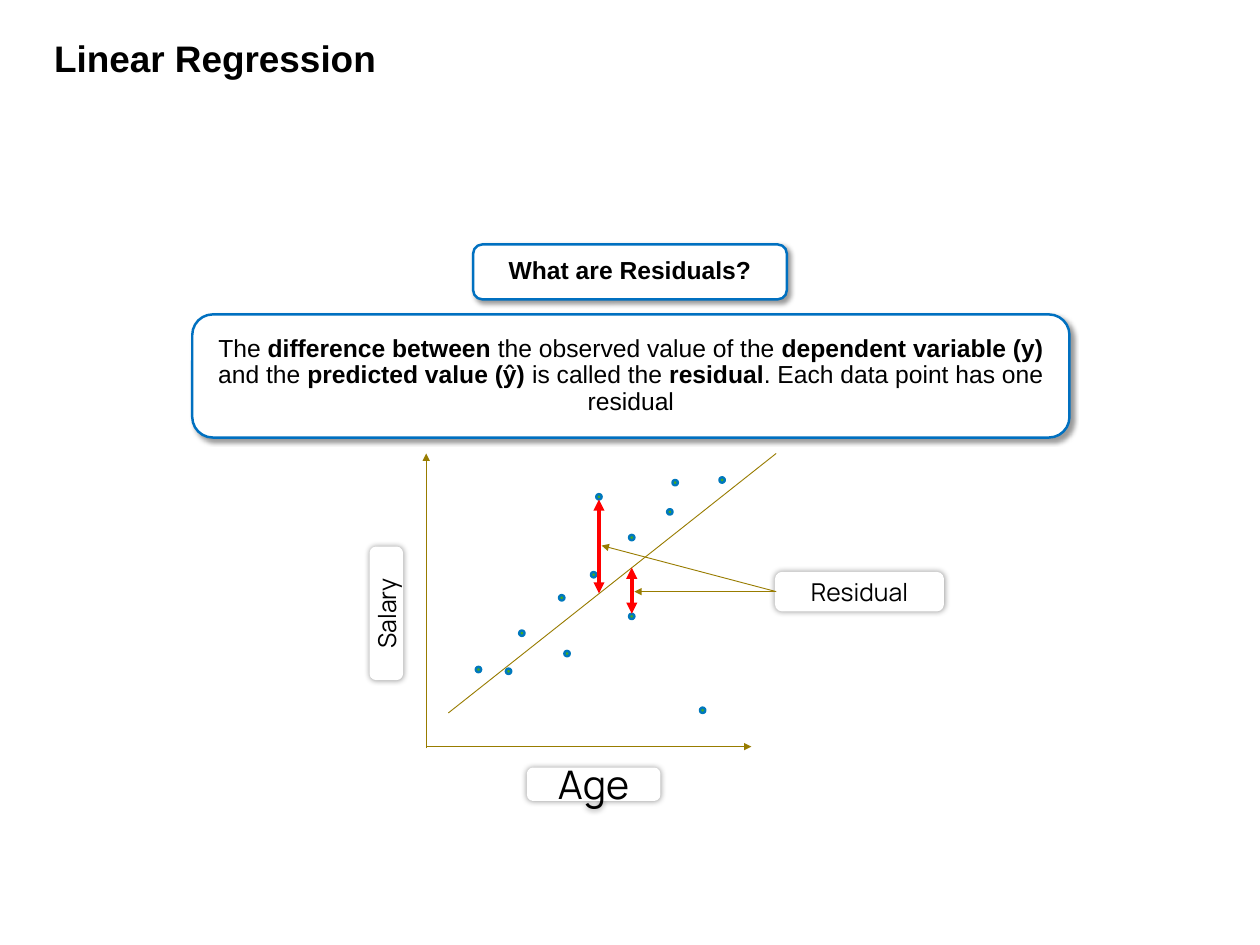
from lxml import etree
from pptx import Presentation
from pptx.dml.color import RGBColor
from pptx.enum.shapes import MSO_CONNECTOR, MSO_SHAPE
from pptx.enum.text import MSO_ANCHOR, MSO_AUTO_SIZE, PP_ALIGN
from pptx.oxml.ns import qn
from pptx.util import Inches, Pt

STRAIGHT = MSO_CONNECTOR.STRAIGHT
ROUNDED = MSO_SHAPE.ROUNDED_RECTANGLE
OVAL = MSO_SHAPE.OVAL
LEFT, CENTER = PP_ALIGN.LEFT, PP_ALIGN.CENTER
TOP, MIDDLE = MSO_ANCHOR.TOP, MSO_ANCHOR.MIDDLE
NO_AUTOFIT = MSO_AUTO_SIZE.NONE

BLACK, WHITE, RED = "000000", "FFFFFF", "FF0000"
BLUE, OLIVE = "0070C0", "987C00"
DOT_FILL, DOT_LINE = "45AA21", "0078BD"
LEFT_SIDE = 1
DOT_SIZE = 0.06

CARD = {"border": BLUE, "font": "Arial", "spacing": 0.9, "shadow": (4, 3, 45)}
LABEL = {"border": WHITE, "font": "Manrope", "spacing": 1.0, "shadow": (5, 0, 0)}

DEFINITION = [
    ("The ", False),
    ("difference between ", True),
    ("the observed value of the ", False),
    ("dependent variable (y) ", True),
    ("and the ", False),
    ("predicted value (ŷ) ", True),
    ("is called the ", False),
    ("residual", True),
    (". Each data point has one residual", False),
]
OBSERVATIONS = [
    (5.37, 7.53), (5.86, 7.12), (6.31, 6.72), (6.67, 6.46), (7.1, 6.04),
    (7.53, 5.75), (6.37, 7.35), (6.73, 5.58), (5.71, 7.55), (8.12, 5.39),
    (7.59, 5.42), (7.1, 6.93), (7.9, 7.99),
]


def color(hex_value):
    return RGBColor.from_string(hex_value)


def set_attributes(target, values):
    for name, value in values.items():
        setattr(target, name, value)


def write_text(frame, runs, font, size, align, anchor, spacing):
    set_attributes(frame, {"word_wrap": True, "auto_size": NO_AUTOFIT,
                           "vertical_anchor": anchor})
    paragraph = frame.paragraphs[0]
    set_attributes(paragraph, {"alignment": align, "line_spacing": spacing,
                               "space_before": Pt(0)})
    for text, bold in runs:
        run = paragraph.add_run()
        run.text = text
        set_attributes(run.font, {"name": font, "size": Pt(size), "bold": bold})
        run.font.color.rgb = color(BLACK)


def add_outlined(slide, kind, box, fill, border):
    shape = slide.shapes.add_shape(kind, *map(Inches, box))
    shape.shadow.inherit = False
    shape.fill.solid()
    shape.fill.fore_color.rgb = color(fill)
    shape.line.color.rgb = color(border)
    shape.line.width = Pt(2)
    return shape


def add_shadow(shape, blur, distance, angle):
    effects = shape._element.spPr.find(qn("a:effectLst"))
    shadow = etree.SubElement(effects, qn("a:outerShdw"), blurRad=str(Pt(blur)),
                              dist=str(Pt(distance)), dir=str(angle * 60000),
                              algn="ctr", rotWithShape="0")
    tint = etree.SubElement(shadow, qn("a:srgbClr"), val=BLACK)
    etree.SubElement(tint, qn("a:alpha"), val="40000")


def add_panel(slide, box, runs, style, size=20, rotation=0):
    panel = add_outlined(slide, ROUNDED, box, WHITE, style["border"])
    add_shadow(panel, *style["shadow"])
    panel.rotation = rotation
    write_text(panel.text_frame, runs, style["font"], size, CENTER, MIDDLE,
               style["spacing"])
    return panel


def add_line(slide, start, end, stroke=OLIVE, width=0.75, arrows=()):
    line = slide.shapes.add_connector(STRAIGHT, *map(Inches, start + end))
    line.line.color.rgb = color(stroke)
    line.line.width = Pt(width)
    properties = line._element.spPr
    for arrow in arrows:
        etree.SubElement(properties.find(qn("a:ln")), qn("a:" + arrow), type="triangle")
    etree.SubElement(properties, qn("a:effectLst"))
    return line


def add_title(slide, text):
    title = slide.shapes.title
    set_attributes(title, {"left": Inches(0.51), "top": Inches(0.41),
                           "width": Inches(7.34), "height": Inches(0.56)})
    write_text(title.text_frame, [(text, True)], "Arial", 30, LEFT, TOP, 0.9)


def add_scatter(slide):
    add_panel(slide, (5.96, 8.68, 1.48, 0.35), [("Age", False)], LABEL, size=32)
    add_panel(slide, (3.62, 6.75, 1.48, 0.35), [("Salary", False)], LABEL, rotation=270)
    add_line(slide, (4.81, 8.45), (4.81, 5.12), arrows=["tailEnd"])
    add_line(slide, (4.81, 8.43), (8.48, 8.43), arrows=["tailEnd"])
    for x, y in OBSERVATIONS:
        add_outlined(slide, OVAL, (x, y, DOT_SIZE, DOT_SIZE), DOT_FILL, DOT_LINE)
    add_line(slide, (5.06, 8.05), (8.76, 5.12))


def add_residuals(slide):
    for x, top, bottom in [(6.76, 5.64, 6.7), (7.13, 6.41, 6.93)]:
        add_line(slide, (x, top), (x, bottom), RED, 3, ["headEnd", "tailEnd"])
    label = add_panel(slide, (8.76, 6.47, 1.88, 0.42), [("Residual", False)], LABEL)
    for target in [(7.16, 6.68), (6.79, 6.16)]:
        pointer = add_line(slide, (8.76, 6.68), target, arrows=["tailEnd"])
        pointer.begin_connect(label, LEFT_SIDE)


def main():
    deck = Presentation()
    deck.slide_width, deck.slide_height = Inches(14.22), Inches(10.67)
    slide = deck.slides.add_slide(deck.slide_layouts.get_by_name("Title Only"))
    add_title(slide, "Linear Regression")
    add_panel(slide, (5.34, 2.76, 3.54, 0.62), [("What are Residuals?", True)], CARD)
    add_panel(slide, (2.17, 3.55, 9.9, 1.39), DEFINITION, CARD)
    add_scatter(slide)
    add_residuals(slide)
    deck.save("out.pptx")


if __name__ == "__main__":
    main()
